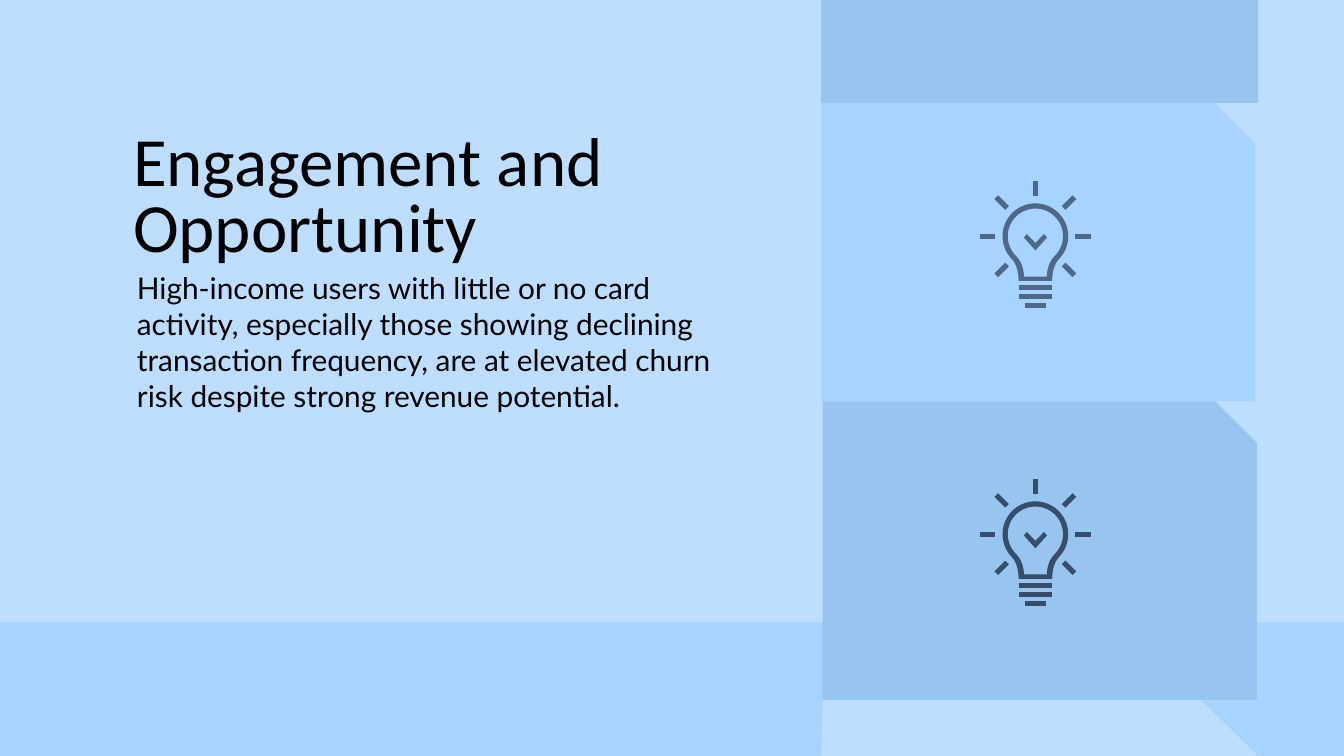
from math import cos, radians, sin

from lxml.etree import SubElement
from pptx import Presentation
from pptx.dml.color import RGBColor
from pptx.enum.shapes import MSO_SHAPE as Preset
from pptx.enum.text import MSO_ANCHOR as Anchor
from pptx.oxml.ns import qn
from pptx.util import Pt

PALE = RGBColor(0xBE, 0xDE, 0xFF)
SKY = RGBColor(0xA7, 0xD4, 0xFF)
STEEL = RGBColor(0x97, 0xC5, 0xEF)
SLATE = RGBColor(0x4F, 0x68, 0x87)
NAVY = RGBColor(0x36, 0x4D, 0x6C)
BLACK = RGBColor(0, 0, 0)

WIDTH, HEIGHT = 720, 405
COLUMN_LEFT, COLUMN_RIGHT = 440, 674
PANEL_TOP, PANEL_WIDTH, PANEL_HEIGHT = 55, 232.6, 160
ICON_X, ICON_Y, ICON_STEP = 554.7, 126.6, 159.6
STROKE = 2.8


def bulb_outline(radius, neck, base):
    """Round bulb running through a curved neck to a flat base, about (0, 0)."""
    base_x, base_y = base
    right = [(radius * cos(radians(a)), radius * sin(radians(a)))
             for a in range(-90, 46, 5)]
    start_x, start_y = right[-1]
    neck_x, neck_y = neck
    for step in range(1, 9):
        t = step / 8
        u = 1 - t
        right.append((u * u * start_x + 2 * u * t * neck_x + t * t * base_x,
                      u * u * start_y + 2 * u * t * neck_y + t * t * base_y))
    return right + [(-x, y) for x, y in reversed(right)]


def bar(half_width, top):
    return [(-half_width, top), (half_width, top),
            (half_width, top + STROKE), (-half_width, top + STROKE)]


def ray(angle, inner=21.4, outer=29.6):
    """Short stroke pointing away from the centre of the bulb."""
    c, s = cos(radians(angle)), sin(radians(angle))
    half = STROKE / 2
    corners = [(inner, -half), (outer, -half), (outer, half), (inner, half)]
    return [(x * c - y * s, x * s + y * c) for x, y in corners]


class SlideBuilder:
    def __init__(self, slide):
        self.slide = slide
        self.shapes = slide.shapes

    def paint(self, shape, color):
        shape.shadow.inherit = False
        shape.fill.solid()
        shape.fill.fore_color.rgb = color
        shape.line.fill.background()

    def background(self, color):
        fill = self.slide.background.fill
        fill.solid()
        fill.fore_color.rgb = color

    def box(self, preset, left, top, width, height, color, snip=None):
        shape = self.shapes.add_shape(preset, Pt(left), Pt(top), Pt(width), Pt(height))
        if snip is not None:
            shape.adjustments[0] = snip
        self.paint(shape, color)

    def polygon(self, contours, color, x=0, y=0, shapes=None):
        """Filled outline; a second contour cuts a hole in the first."""
        placed = [[(Pt(x + px), Pt(y + py)) for px, py in contour] for contour in contours]
        builder = (shapes or self.shapes).build_freeform(*placed[0][0], scale=1.0)
        builder.add_line_segments(placed[0][1:], close=True)
        for contour in placed[1:]:
            builder.move_to(*contour[0])
            builder.add_line_segments(contour[1:], close=True)
        self.paint(builder.convert_to_shape(), color)

    def text(self, words, left, top, width, height, font, size, spacing=None):
        frame = self.shapes.add_textbox(Pt(left), Pt(top), Pt(width), Pt(height)).text_frame
        frame.word_wrap = True
        frame.vertical_anchor = Anchor.TOP
        frame.margin_left = frame.margin_top = frame.margin_bottom = 0
        frame.margin_right = Pt(7.2)
        frame.text = words
        paragraph = frame.paragraphs[0]
        paragraph.line_spacing = spacing
        run = paragraph.runs[0]
        run.font.name = font
        run.font.size = Pt(size)
        run.font.color.rgb = BLACK
        properties = run.font._element
        for tag in ("a:ea", "a:cs"):
            SubElement(properties, qn(tag), typeface=font)

    def idea_icon(self, x, y, color):
        group = self.shapes.add_group_shape().shapes
        outer = bulb_outline(17.6, (9, 16.5), (9, 23.9))
        inner = bulb_outline(14.8, (6.4, 14.5), (6.1, 21.6))
        check = [(4.6, -1.2), (0, 3.6), (-4.6, -1.2), (-6.2, 0.7), (0, 7.6), (6.2, 0.7)]
        parts = [[outer, inner[::-1]], [check]]
        parts += [[bar(half, top)] for half, top in ((9, 26), (9, 30.8), (5.4, 35.6))]
        parts += [[ray(angle)] for angle in range(135, 406, 45)]
        for contours in parts:
            self.polygon(contours, color, x, y, group)


def main():
    presentation = Presentation()
    presentation.slide_width, presentation.slide_height = Pt(WIDTH), Pt(HEIGHT)
    builder = SlideBuilder(presentation.slides.add_slide(presentation.slide_layouts[6]))

    builder.background(SKY)
    builder.box(Preset.SNIP_1_RECTANGLE, 0, 0, WIDTH, 333.4, PALE, snip=0)
    for row, color in ((1, STEEL), (0, SKY)):
        builder.box(Preset.SNIP_1_RECTANGLE, COLUMN_LEFT + 0.7 * row,
                    PANEL_TOP + PANEL_HEIGHT * row, PANEL_WIDTH, PANEL_HEIGHT,
                    color, snip=0.139)
    builder.polygon([[(COLUMN_LEFT, 0), (COLUMN_LEFT, PANEL_TOP),
                      (COLUMN_RIGHT, PANEL_TOP), (COLUMN_RIGHT, 0)]], STEEL)
    bottom = PANEL_TOP + 2 * PANEL_HEIGHT
    builder.polygon([[(COLUMN_LEFT, HEIGHT), (COLUMN_RIGHT, HEIGHT),
                      (643, bottom), (COLUMN_LEFT + 0.7, bottom)]], PALE)

    builder.text("Engagement and Opportunity", 71.3, 71.3, 369.4, 67.7,
                 "Calibri", 37, spacing=0.8)
    builder.text("High-income users with little or no card activity, especially those "
                 "showing declining transaction frequency, are at elevated churn risk "
                 "despite strong revenue potential.", 73.4, 144.7, 315.4, 148.3, "Lato", 16)

    for row, color in enumerate((SLATE, NAVY)):
        builder.idea_icon(ICON_X, ICON_Y + ICON_STEP * row, color)

    presentation.save("out.pptx")


if __name__ == "__main__":
    main()
